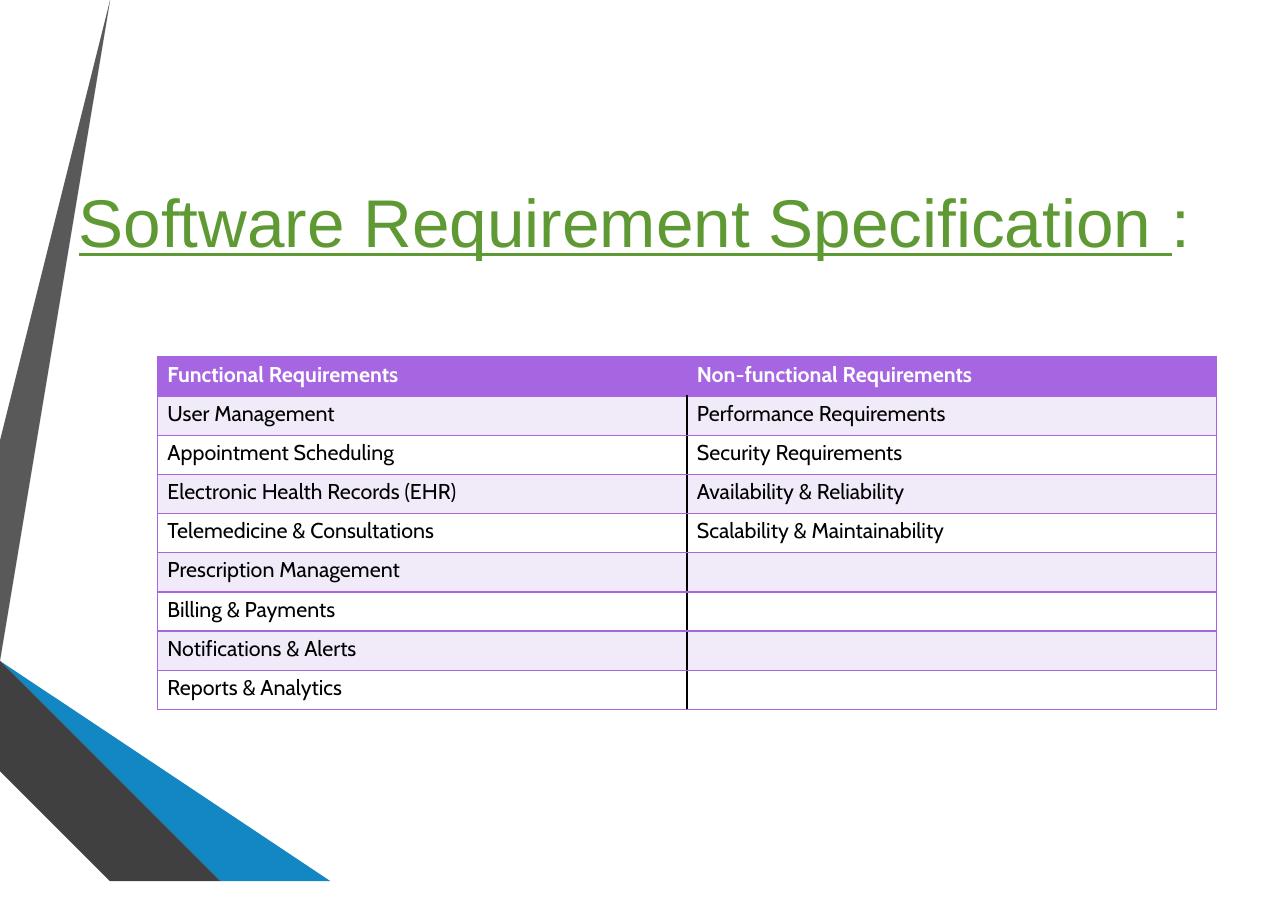
"""Build the software requirement specification slide."""
from itertools import zip_longest

from lxml.etree import SubElement
from pptx import Presentation
from pptx.dml.color import RGBColor
from pptx.enum.text import MSO_ANCHOR, PP_ALIGN
from pptx.oxml import parse_xml
from pptx.oxml.ns import nsdecls, qn
from pptx.util import Inches, Pt

WHITE = RGBColor(0xFF, 0xFF, 0xFF)
BLACK = RGBColor(0, 0, 0)
GREEN = RGBColor(0x5F, 0x99, 0x34)
PURPLE = RGBColor(0xA6, 0x66, 0xE1)
LILAC = RGBColor(0xF1, 0xEA, 0xF9)
SKY = RGBColor(0x30, 0xAC, 0xEC)
BLUE = RGBColor(0x12, 0x87, 0xC3)
NAVY = RGBColor(0x0C, 0x5A, 0x82)
GREY = RGBColor(0x59, 0x59, 0x59)
CHARCOAL = RGBColor(0x40, 0x40, 0x40)
SOOT = RGBColor(0x26, 0x26, 0x26)

WIDTH, HEIGHT = 11.69, 8.27

RIBBONS = [
    (SKY, [(0, 5.99), (0, 6.34), (0.26, 6.38), (1.37, 0), (1.04, 0)]),
    (GREY, [(0.97, 0), (0.65, 0), (0, 3.71), (0, 5.57)]),
    (SOOT, [(0, 6.83), (0, 6.85), (1.09, HEIGHT), (1.16, HEIGHT)]),
    (NAVY, [(0, 6.38), (0, 6.39), (1.83, HEIGHT), (1.9, HEIGHT)]),
    (BLUE, [(0, 6.38), (1.9, HEIGHT), (2.73, HEIGHT), (0.26, 6.38), (0, 6.34)]),
    (CHARCOAL, [(0, 6.83), (1.16, HEIGHT), (1.76, HEIGHT), (0, 6.46)]),
]

HEADINGS = ("Functional Requirements", "Non-functional Requirements")
FUNCTIONAL = [
    "User Management",
    "Appointment Scheduling",
    "Electronic Health Records (EHR)",
    "Telemedicine & Consultations",
    "Prescription Management",
    "Billing & Payments",
    "Notifications & Alerts",
    "Reports & Analytics",
]
NON_FUNCTIONAL = [
    "Performance Requirements",
    "Security Requirements",
    "Availability & Reliability",
    "Scalability & Maintainability",
]


def add_ribbons(page, left, top):
    """Draw the folded ribbons from the given corner."""
    for color, points in RIBBONS:
        builder = page.shapes.build_freeform(*points[0], scale=Inches(1))
        builder.add_line_segments(points[1:], close=True)
        ribbon = builder.convert_to_shape(Inches(left), Inches(top))
        ribbon.shadow.inherit = False
        ribbon.fill.solid()
        ribbon.fill.fore_color.rgb = color
        ribbon.line.fill.background()


def add_title(page, left, top, width, height):
    """Place the centred title with its underlined words."""
    box = page.shapes.add_textbox(
        Inches(left), Inches(top), Inches(width), Inches(height))
    frame = box.text_frame
    frame.word_wrap = True
    frame.vertical_anchor = MSO_ANCHOR.MIDDLE
    para = frame.paragraphs[0]
    para.alignment = PP_ALIGN.CENTER
    for words, underlined in (("Software Requirement Specification ", True), (": ", False)):
        span = para.add_run()
        span.text = words
        span.font.name = "Arial"
        span.font.size = Pt(44.1)
        span.font.color.rgb = GREEN
        span.font.underline = underlined


def set_borders(cell, colors):
    """Give a cell its left, right, top and bottom lines."""
    properties = cell._tc.get_or_add_tcPr()
    for index, (side, color) in enumerate(zip("LRTB", colors)):
        properties.insert(index, parse_xml(
            f'<a:ln{side} {nsdecls("a")} w="{Pt(1)}"><a:solidFill>'
            f'<a:srgbClr val="{color}"/></a:solidFill></a:ln{side}>'))


def fill_cell(cell, words, fill, color, bold):
    """Write one cell on its fill."""
    cell.fill.solid()
    cell.fill.fore_color.rgb = fill
    cell.margin_left = cell.margin_right = Inches(0.09)
    cell.margin_top = cell.margin_bottom = Inches(0.04)
    cell.text_frame.text = words
    para = cell.text_frame.paragraphs[0]
    for span in para.runs:
        span.font.name = "Cabin"
        span.font.size = Pt(14)
        span.font.bold = bold
        span.font.color.rgb = color
    if not words:
        SubElement(para._p, qn("a:endParaRPr"), sz="1400")


def add_requirements(page, left, top, width, height):
    """Place the two-column table of requirements."""
    rows = [HEADINGS, *zip_longest(FUNCTIONAL, NON_FUNCTIONAL, fillvalue="")]
    table = page.shapes.add_table(
        len(rows), len(HEADINGS),
        Inches(left), Inches(top), Inches(width), Inches(height)).table
    table.horz_banding = False
    for row_index, words in enumerate(rows):
        heading = row_index == 0
        fill = PURPLE if heading else LILAC if row_index % 2 else WHITE
        divider = PURPLE if heading else BLACK
        for column, text in enumerate(words):
            cell = table.cell(row_index, column)
            fill_cell(cell, text, fill, WHITE if heading else BLACK, heading)
            sides = (PURPLE, divider) if column == 0 else (divider, PURPLE)
            set_borders(cell, (*sides, PURPLE, PURPLE))


def main():
    """Build and save the deck."""
    deck = Presentation()
    deck.slide_width, deck.slide_height = Inches(WIDTH), Inches(HEIGHT)
    page = deck.slides.add_slide(deck.slide_layouts[6])
    add_ribbons(page, 0, 0)
    add_title(page, 0, 1.16, WIDTH, 1.68)
    add_requirements(page, 1.43, 3.24, 9.61, 3.2)
    deck.save("out.pptx")


if __name__ == "__main__":
    main()
